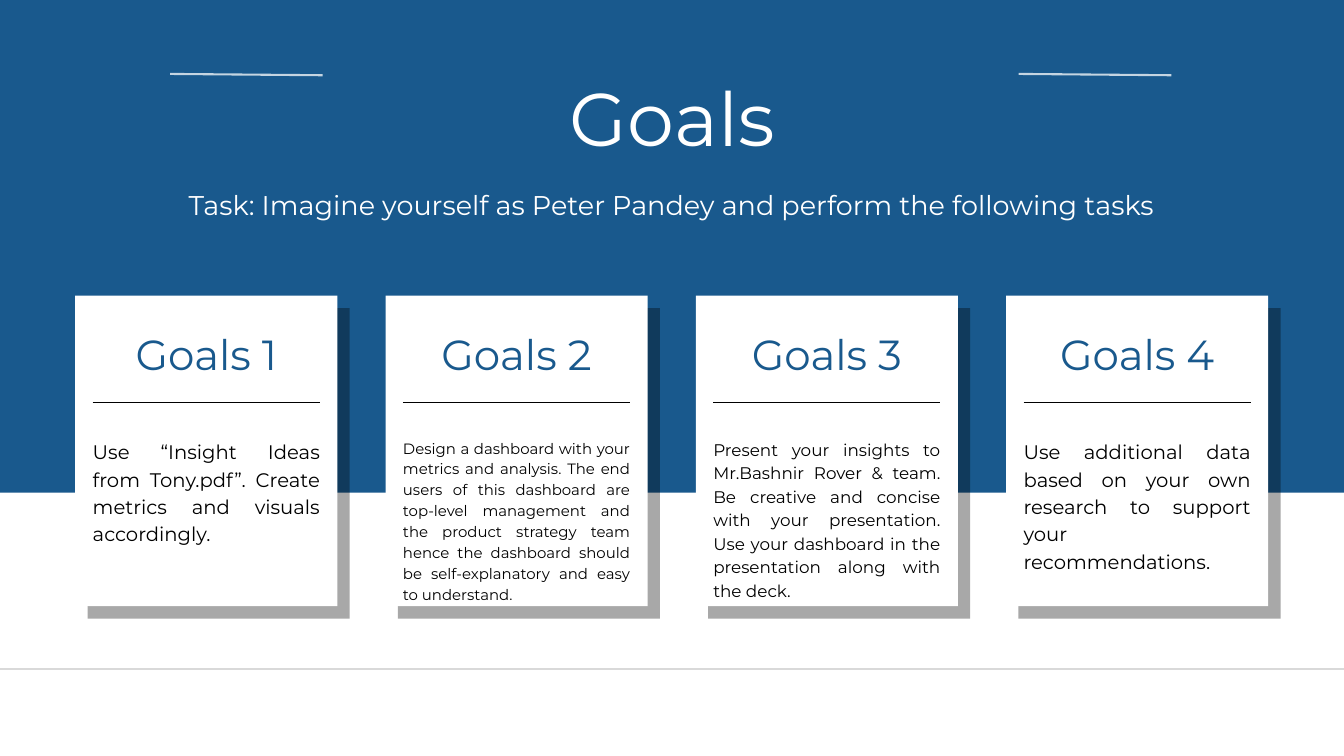
from dataclasses import dataclass

from lxml.etree import SubElement
from pptx import Presentation
from pptx.dml.color import RGBColor
from pptx.enum.shapes import MSO_CONNECTOR, MSO_SHAPE
from pptx.enum.text import MSO_ANCHOR, MSO_AUTO_SIZE, PP_ALIGN
from pptx.oxml.ns import qn
from pptx.shapes.autoshape import Shape
from pptx.slide import Slide
from pptx.util import Inches, Pt

BLUE = RGBColor(0x19, 0x59, 0x8D)
WHITE = RGBColor(0xFF, 0xFF, 0xFF)
BLACK = RGBColor(0x00, 0x00, 0x00)
GREY = RGBColor(0xD9, 0xD9, 0xD9)

FONT = "Montserrat"
CARD_LEFT, CARD_TOP, CARD_PITCH = 1.12, 4.4, 4.617
CARD_WIDTH, CARD_HEIGHT = 3.9, 4.62
SHADOW_OFFSET = 0.185
CARD_PADDING = 0.26
INNER_WIDTH = CARD_WIDTH - 2 * CARD_PADDING


@dataclass(frozen=True)
class Goal:
    heading: str
    paragraphs: tuple[str, ...]
    size: int


GOALS = (
    Goal("Goals 1", (
        "Use “Insight Ideas from Tony.pdf”. Create metrics and visuals accordingly.",
    ), 21),
    Goal("Goals 2", (
        "Design a dashboard with your metrics and analysis. The end users of this "
        "dashboard are top-level management and the product strategy team hence the "
        "dashboard should be self-explanatory and easy to understand.",
    ), 16),
    Goal("Goals 3", (
        "Present your insights to Mr.Bashnir Rover & team. Be creative and concise "
        "with your presentation. Use your dashboard in the presentation along with "
        "the deck.",
    ), 18),
    Goal("Goals 4", (
        "Use additional data based on your own research to support your",
        "recommendations.",
    ), 21),
)


def set_alpha(element, percent: int) -> None:
    color = next(element.iter(qn("a:srgbClr")))
    SubElement(color, qn("a:alpha")).set("val", str(percent * 1000))


def add_rectangle(slide: Slide, left: float, top: float, width: float,
                  height: float, color: RGBColor, alpha: int = 100) -> None:
    shape = slide.shapes.add_shape(
        MSO_SHAPE.RECTANGLE, Inches(left), Inches(top), Inches(width), Inches(height))
    shape.shadow.inherit = False
    shape.line.fill.background()
    shape.fill.solid()
    shape.fill.fore_color.rgb = color
    if alpha < 100:
        set_alpha(shape.element.spPr, alpha)


def add_line(slide: Slide, start: tuple[float, float], end: tuple[float, float],
             color: RGBColor, width: float, alpha: int = 100) -> None:
    connector = slide.shapes.add_connector(
        MSO_CONNECTOR.STRAIGHT, *(Inches(value) for value in start + end))
    connector.line.color.rgb = color
    connector.line.width = Pt(width)
    if alpha < 100:
        set_alpha(connector.line._get_or_add_ln(), alpha)
    SubElement(connector.element.spPr, qn("a:effectLst"))


def add_text(slide: Slide, paragraphs: tuple[str, ...], *, left: float, top: float,
             width: float, height: float, size: int, color: RGBColor,
             spacing: float = 1.4, align: PP_ALIGN = PP_ALIGN.CENTER,
             shape: Shape | None = None) -> None:
    box = (Inches(left), Inches(top), Inches(width), Inches(height))
    if shape is None:
        shape = slide.shapes.add_textbox(*box)
    else:
        shape.left, shape.top, shape.width, shape.height = box
    frame = shape.text_frame
    frame.margin_left = frame.margin_top = frame.margin_right = frame.margin_bottom = 0
    frame.word_wrap = True
    frame.auto_size = MSO_AUTO_SIZE.SHAPE_TO_FIT_TEXT
    frame.vertical_anchor = MSO_ANCHOR.TOP
    frame.text = "\n".join(paragraphs)
    for paragraph in frame.paragraphs:
        paragraph.alignment = align
        paragraph.line_spacing = Pt(size * spacing)
        paragraph.space_before = paragraph.space_after = Pt(0)
        paragraph.font.name = FONT
        paragraph.font.size = Pt(size)
        paragraph.font.color.rgb = color


def add_goal_card(slide: Slide, goal: Goal, left: float) -> None:
    add_rectangle(slide, left + SHADOW_OFFSET, CARD_TOP + SHADOW_OFFSET,
                  CARD_WIDTH, CARD_HEIGHT, BLACK, alpha=34)
    add_rectangle(slide, left, CARD_TOP, CARD_WIDTH, CARD_HEIGHT, WHITE)
    inner_left = left + CARD_PADDING
    add_text(slide, (goal.heading,), left=inner_left, top=4.76, width=INNER_WIDTH,
             height=0.82, size=45, color=BLUE)
    add_line(slide, (inner_left, 5.99), (inner_left + INNER_WIDTH, 5.99), BLACK, 1.5)
    add_text(slide, goal.paragraphs, left=inner_left, top=6.49, width=INNER_WIDTH,
             height=2.42, size=goal.size, color=BLACK, align=PP_ALIGN.JUSTIFY)


def main() -> None:
    presentation = Presentation()
    presentation.slide_width = Inches(20)
    presentation.slide_height = Inches(11.25)
    slide = presentation.slides.add_slide(presentation.slide_layouts[5])

    add_rectangle(slide, -0.75, -0.17, 21.5, 7.5, BLUE)
    title = slide.shapes.title
    title.element.getparent().append(title.element)
    add_text(slide, ("Goals",), left=5.61, top=1.29, width=8.79, height=1.16,
             size=80, color=WHITE, spacing=1, shape=title)
    add_text(slide,
             ("Task: Imagine yourself as Peter Pandey and perform the following tasks",),
             left=1.64, top=2.72, width=16.71, height=0.53, size=29, color=WHITE)

    for index, goal in enumerate(GOALS):
        add_goal_card(slide, goal, CARD_LEFT + index * CARD_PITCH)

    for left in (2.53, 15.16):
        add_line(slide, (left, 1.1), (left + 2.27, 1.12), WHITE, 2.25, alpha=75)
    add_line(slide, (-0.31, 9.95), (20.31, 9.95), GREY, 2.25)

    presentation.save("out.pptx")


if __name__ == "__main__":
    main()
